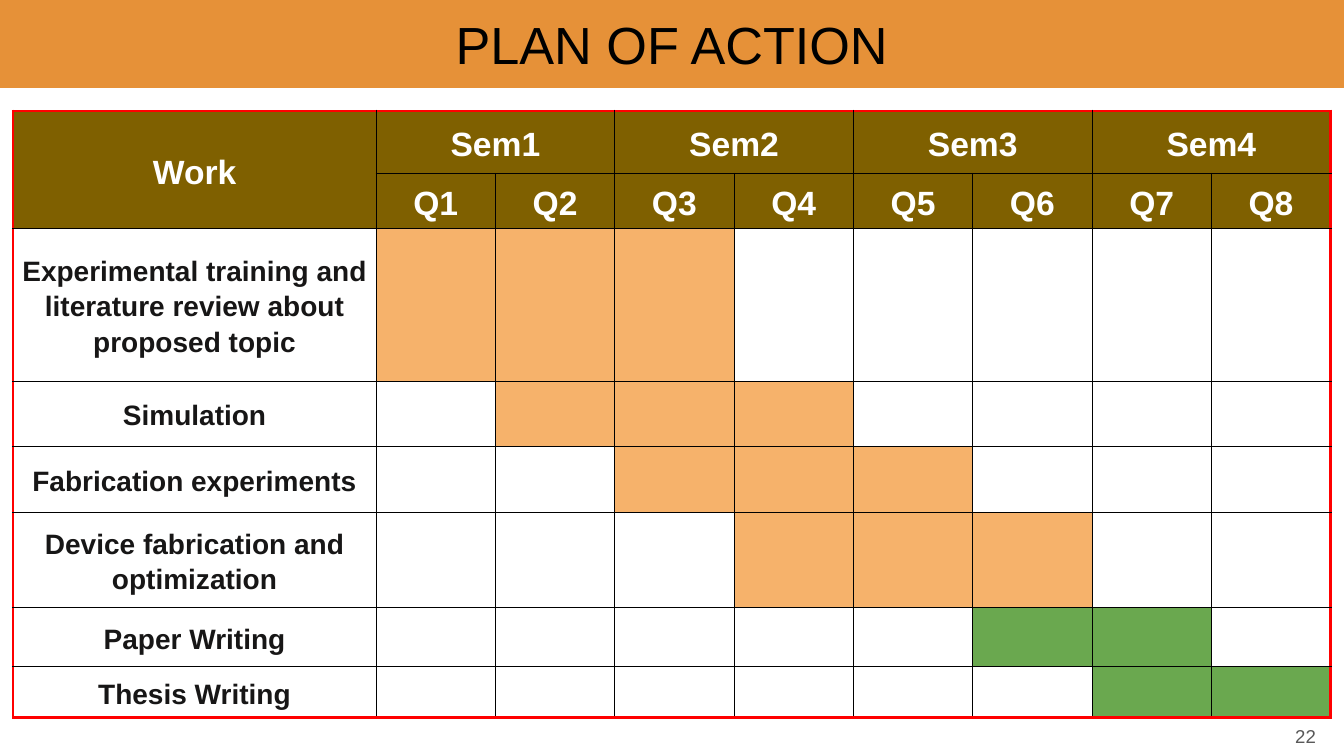
"""Build the plan of action slide with its semester schedule."""
from dataclasses import dataclass

from lxml.etree import SubElement
from pptx import Presentation
from pptx.dml.color import RGBColor
from pptx.enum.shapes import MSO_SHAPE as Shape
from pptx.enum.text import MSO_ANCHOR as Anchor, PP_ALIGN as Align
from pptx.oxml.ns import qn
from pptx.util import Inches, Pt


@dataclass(frozen=True)
class Theme:
    """Colours, type sizes and line widths of the slide."""
    font: str = "Arial"
    banner: str = "E69138"
    header: str = "7F6000"
    research: str = "F6B26B"
    writing: str = "6AA84F"
    white: str = "FFFFFF"
    black: str = "000000"
    frame: str = "FF0000"
    task: str = "171616"
    muted: str = "595959"
    title_size: float = 37.3
    header_size: float = 24
    task_size: float = 20
    number_size: float = 13.3
    thin: float = 0.75
    thick: float = 2.25


THEME = Theme()
QUARTERS = 8
TABLE_WIDTH = 13.07
WORK_WIDTH = 3.6
ROW_HEIGHTS = (0.62, 0.55, 1.51, 0.65, 0.65, 0.95, 0.58, 0.51)
TASKS = (
    ("Experimental training and literature review about proposed topic",
     1, 3, THEME.research),
    ("Simulation", 2, 4, THEME.research),
    ("Fabrication experiments", 3, 5, THEME.research),
    ("Device fabrication and optimization", 4, 6, THEME.research),
    ("Paper Writing", 6, 7, THEME.writing),
    ("Thesis Writing", 7, 8, THEME.writing),
)


def color(value):
    """Return the colour object for a hex value."""
    return RGBColor.from_string(value)


def set_all(target, values):
    """Set every attribute named in a dict."""
    for name, value in values.items():
        setattr(target, name, value)


def paint(item, value):
    """Give an item a solid fill."""
    item.fill.solid()
    item.fill.fore_color.rgb = color(value)


def write(frame, text, size, ink, align=Align.CENTER, bold=False, spacing=None):
    """Write one formatted paragraph into a text frame."""
    paragraph = frame.paragraphs[0]
    set_all(paragraph, {"alignment": align, "line_spacing": spacing})
    run = paragraph.add_run()
    run.text = text
    set_all(run.font, {"name": THEME.font, "size": Pt(size), "bold": bold})
    run.font.color.rgb = color(ink)


def set_frame(frame, inset):
    """Wrap a frame, centre it vertically and set equal insets."""
    sides = ("left", "top", "right", "bottom")
    set_all(frame, {"word_wrap": True, "vertical_anchor": Anchor.MIDDLE,
                    **{f"margin_{side}": Inches(inset) for side in sides}})


def add_banner(slide, text):
    """Add the full-width title banner."""
    banner = slide.shapes.add_shape(
        Shape.RECTANGLE, 0, 0, Inches(13.33), Inches(0.87))
    banner.shadow.inherit = False
    paint(banner, THEME.banner)
    banner.line.color.rgb = color(THEME.banner)
    banner.line.width = Pt(THEME.thin)
    set_frame(banner.text_frame, 0.13)
    write(banner.text_frame, text, THEME.title_size, THEME.black)


def set_borders(cell, row, column):
    """Draw thin cell borders, thick red along the table's outer edge."""
    last_row = row + (cell.span_height if cell.is_merge_origin else 1)
    last_column = column + (cell.span_width if cell.is_merge_origin else 1)
    outer = {"lnL": column == 0, "lnR": last_column == QUARTERS + 1,
             "lnT": row == 0, "lnB": last_row == len(ROW_HEIGHTS)}
    properties = cell._tc.get_or_add_tcPr()
    for tag, on_edge in outer.items():
        width = THEME.thick if on_edge else THEME.thin
        line = SubElement(properties, qn(f"a:{tag}"), w=str(Pt(width)))
        fill = SubElement(line, qn("a:solidFill"))
        SubElement(fill, qn("a:srgbClr"),
                   val=THEME.frame if on_edge else THEME.black)


def fill_cell(table, row, column, fill, text="", size=THEME.header_size,
              ink=THEME.white):
    """Style one table cell and write its label."""
    cell = table.cell(row, column)
    set_borders(cell, row, column)
    paint(cell, fill)
    set_all(cell, {"vertical_anchor": Anchor.MIDDLE,
                   "margin_left": Inches(0.04), "margin_right": Inches(0.04),
                   "margin_top": Inches(0.03), "margin_bottom": Inches(0.03)})
    if text:
        write(cell.text_frame, text, size, ink, bold=True, spacing=1.15)


def add_header(table):
    """Fill the two header rows with semesters and quarters."""
    table.cell(0, 0).merge(table.cell(1, 0))
    fill_cell(table, 0, 0, THEME.header, "Work")
    for semester in range(1, QUARTERS // 2 + 1):
        first = 2 * semester - 1
        table.cell(0, first).merge(table.cell(0, first + 1))
        fill_cell(table, 0, first, THEME.header, f"Sem{semester}")
    for quarter in range(1, QUARTERS + 1):
        fill_cell(table, 1, quarter, THEME.header, f"Q{quarter}")


def add_task(table, row, name, start, end, bar):
    """Fill one task row and colour its active quarters."""
    fill_cell(table, row, 0, THEME.white, name, THEME.task_size, THEME.task)
    for quarter in range(1, QUARTERS + 1):
        active = start <= quarter <= end
        fill_cell(table, row, quarter, bar if active else THEME.white)


def add_schedule(slide):
    """Add the schedule table."""
    table = slide.shapes.add_table(
        len(ROW_HEIGHTS), QUARTERS + 1, Inches(0.13), Inches(1.1),
        Inches(TABLE_WIDTH), Inches(sum(ROW_HEIGHTS))).table
    set_all(table, {"first_row": False, "horz_banding": False})
    quarter_width = (TABLE_WIDTH - WORK_WIDTH) / QUARTERS
    for index, column in enumerate(table.columns):
        column.width = Inches(quarter_width if index else WORK_WIDTH)
    for row, height in zip(table.rows, ROW_HEIGHTS):
        row.height = Inches(height)
    add_header(table)
    for row, task in enumerate(TASKS, start=2):
        add_task(table, row, *task)


def add_page_number(slide, text):
    """Add the page number at the lower right."""
    box = slide.shapes.add_textbox(
        Inches(12.35), Inches(7.02), Inches(0.8), Inches(0.57))
    set_frame(box.text_frame, 0.1)
    write(box.text_frame, text, THEME.number_size, THEME.muted, Align.RIGHT)


def main():
    """Build and save the presentation."""
    presentation = Presentation()
    set_all(presentation, {"slide_width": Inches(13.33),
                           "slide_height": Inches(7.5)})
    slide = presentation.slides.add_slide(presentation.slide_layouts[6])
    add_banner(slide, "PLAN OF ACTION")
    add_schedule(slide)
    add_page_number(slide, "22")
    presentation.save("out.pptx")


if __name__ == "__main__":
    main()
